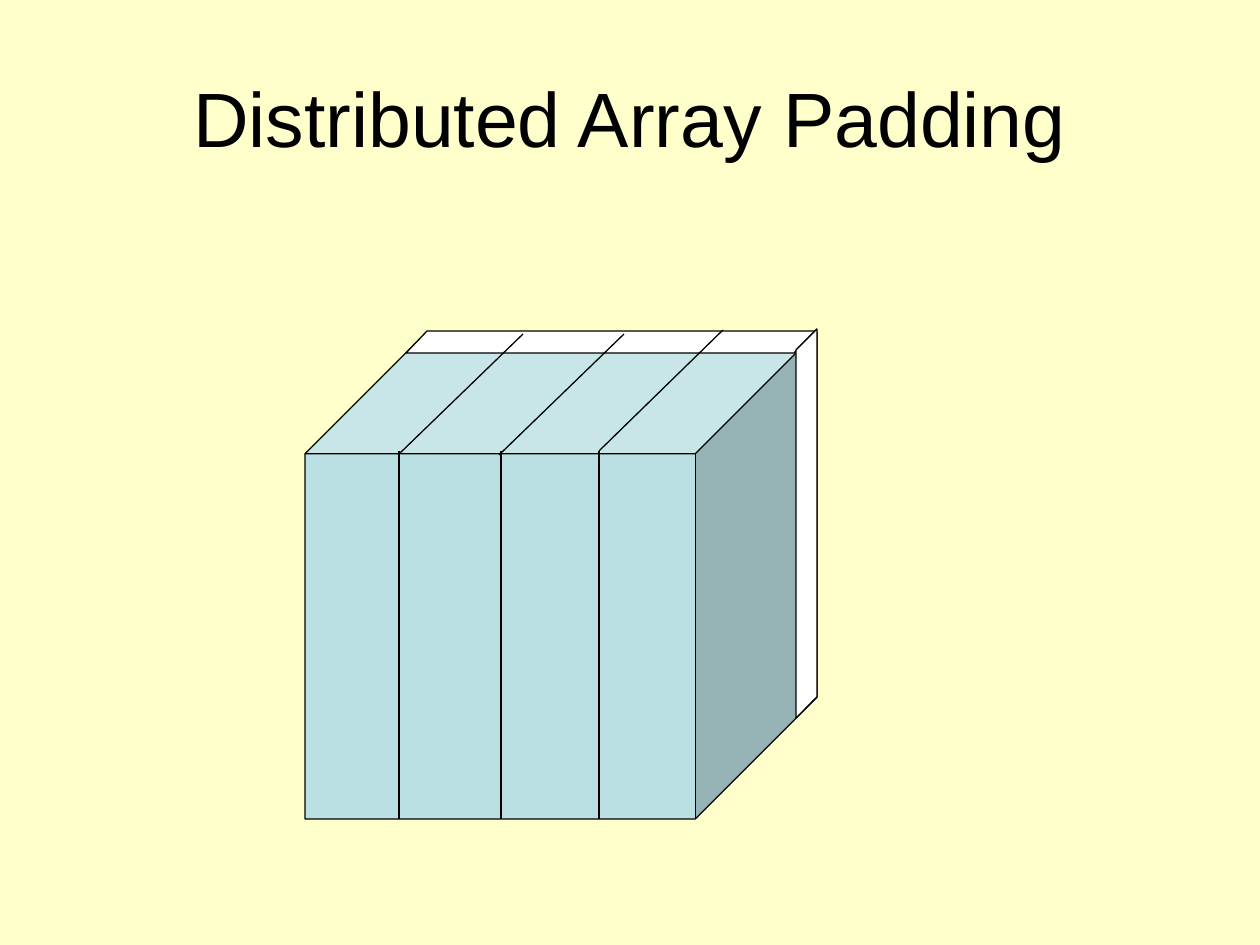
"""Build a slide showing a distributed array as a padded, sliced cube."""
from dataclasses import dataclass

from lxml import etree
from pptx import Presentation
from pptx import util as u
from pptx.dml.color import RGBColor
from pptx.enum import shapes, text
from pptx.oxml.ns import qn

PX = u.Inches(1) / 126
SLIDE_SIZE = (1260, 945)

TITLE = "Distributed Array Padding"
TITLE_BOX = (63, 38, 1134, 157)
CUBE_BOX = (305, 332, 512, 487)
CUBE_DEPTH = 0.25
FRONT_TOP, FRONT_BOTTOM = 451, 819
FRONT_CUTS = (501, 599, 399)
TOP_CUTS = (((723, 330), (599, 451)), ((624, 334), (499, 455)), ((523, 334), (398, 455)))
TOP_PADDING = ((406, 353), (794, 353), (815, 331), (427, 331))
SIDE_PADDING = ((796, 350), (817, 329), (817, 697), (796, 718))


@dataclass(frozen=True)
class Theme:
    background: RGBColor = RGBColor.from_string("FFFFCC")
    ink: RGBColor = RGBColor.from_string("000000")
    array: RGBColor = RGBColor.from_string("BBE0E3")
    padding: RGBColor = RGBColor.from_string("FFFFFF")
    font: str = "Arial"
    title_size: u.Pt = u.Pt(44)
    line_width: u.Pt = u.Pt(0.75)


THEME = Theme()


def px(*lengths):
    return [round(length * PX) for length in lengths]


def outline(item):
    item.line.color.rgb = THEME.ink
    item.line.width = THEME.line_width


def paint(shape, color):
    shape.shadow.inherit = False
    shape.fill.solid()
    shape.fill.fore_color.rgb = color
    outline(shape)


def add_title(page):
    box = page.shapes.add_textbox(*px(*TITLE_BOX))
    frame = box.text_frame
    frame.word_wrap = True
    frame.vertical_anchor = text.MSO_ANCHOR.MIDDLE
    para = frame.paragraphs[0]
    para.text = TITLE
    para.alignment = text.PP_ALIGN.CENTER
    para.font.name = THEME.font
    para.font.size = THEME.title_size
    para.font.color.rgb = THEME.ink


def add_cube(page):
    cube = page.shapes.add_shape(shapes.MSO_SHAPE.CUBE, *px(*CUBE_BOX))
    cube.adjustments[0] = CUBE_DEPTH
    paint(cube, THEME.array)


def add_cut(page, start, end):
    cut = page.shapes.add_connector(shapes.MSO_CONNECTOR.STRAIGHT, *px(*start, *end))
    outline(cut)
    etree.SubElement(cut.element.spPr, qn("a:effectLst"))


def add_padding(page, corners):
    builder = page.shapes.build_freeform(*corners[0], scale=PX)
    builder.add_line_segments(corners[1:], close=True)
    paint(builder.convert_to_shape(), THEME.padding)


def main():
    deck = Presentation()
    deck.slide_width, deck.slide_height = px(*SLIDE_SIZE)
    page = deck.slides.add_slide(deck.slide_layouts[6])
    page.background.fill.solid()
    page.background.fill.fore_color.rgb = THEME.background

    add_title(page)
    add_cube(page)
    for x in FRONT_CUTS:
        add_cut(page, (x, FRONT_TOP), (x, FRONT_BOTTOM))
    add_padding(page, TOP_PADDING)
    for start, end in TOP_CUTS:
        add_cut(page, start, end)
    add_padding(page, SIDE_PADDING)
    deck.save("out.pptx")


if __name__ == "__main__":
    main()
